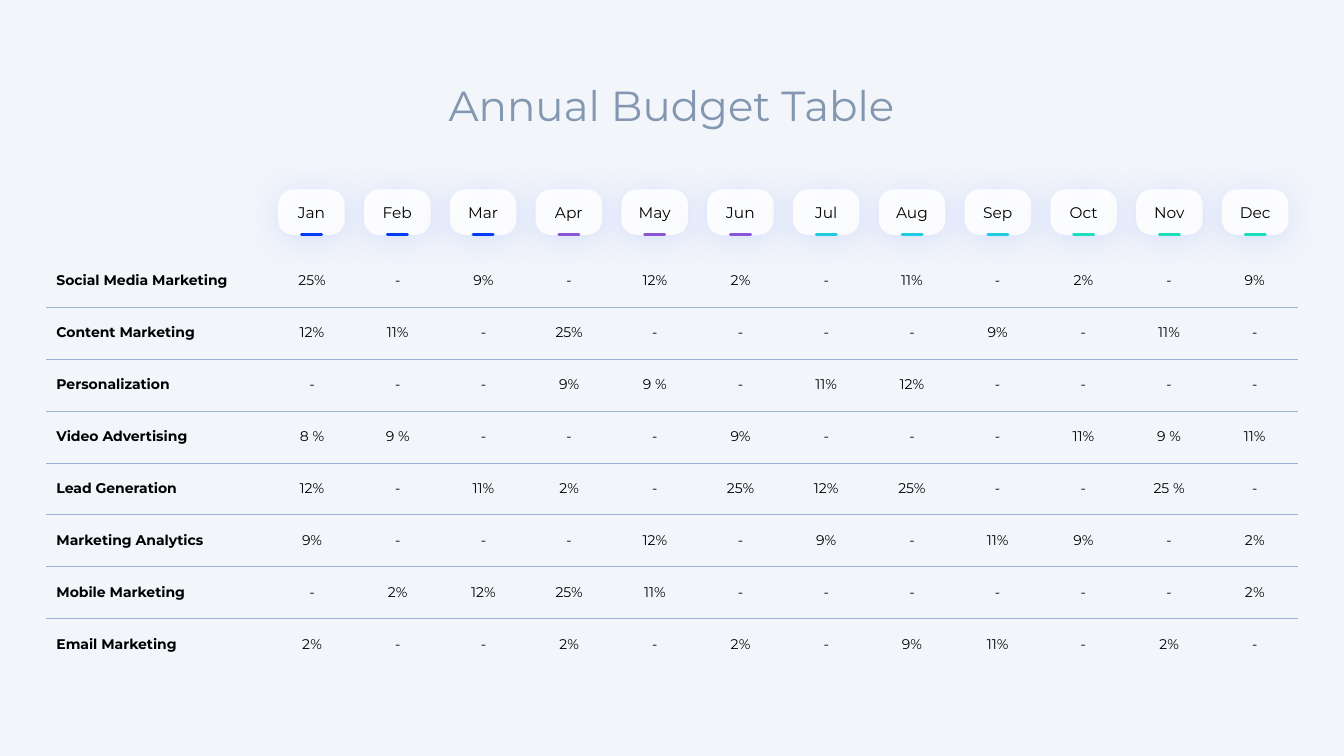
from lxml.etree import SubElement
from pptx import Presentation
from pptx.dml.color import RGBColor
from pptx.enum.shapes import MSO_CONNECTOR, MSO_SHAPE
from pptx.enum.text import MSO_ANCHOR, MSO_AUTO_SIZE, PP_ALIGN
from pptx.oxml import parse_xml
from pptx.oxml.ns import nsdecls, qn
from pptx.util import Inches, Pt

BACKDROP = RGBColor(0xF2, 0xF5, 0xFA)
SLATE = RGBColor(0x84, 0x97, 0xB0)
BLACK = RGBColor(0, 0, 0)
WHITE = RGBColor(0xFF, 0xFF, 0xFF)
RULE = RGBColor(0x99, 0xB1, 0xD8)
BLUE = RGBColor(0x01, 0x3C, 0xFB)
PURPLE = RGBColor(0x89, 0x56, 0xD6)
CYAN = RGBColor(0x1F, 0xCB, 0xE1)
GREEN = RGBColor(0x1A, 0xDF, 0xBA)
QUARTER_COLORS = [BLUE, PURPLE, CYAN, GREEN]
PLAIN_TABLE_STYLE = "{2D5ABB26-0587-4C30-8999-92F81FD0307C}"

MONTHS = "Jan Feb Mar Apr May Jun Jul Aug Sep Oct Nov Dec".split()
BUDGET = {
    "Social Media Marketing": "25%,-,9%,-,12%,2%,-,11%,-,2%,-,9%",
    "Content Marketing": "12%,11%,-,25%,-,-,-,-,9%,-,11%,-",
    "Personalization": "-,-,-,9%,9 %,-,11%,12%,-,-,-,-",
    "Video Advertising": "8 %,9 %,-,-,-,9%,-,-,-,11%,9 %,11%",
    "Lead Generation": "12%,-,11%,2%,-,25%,12%,25%,-,-,25 %,-",
    "Marketing Analytics": "9%,-,-,-,12%,-,9%,-,11%,9%,-,2%",
    "Mobile Marketing": "-,2%,12%,25%,11%,-,-,-,-,-,-,2%",
    "Email Marketing": "2%,-,-,2%,-,2%,-,9%,11%,-,2%,-",
}


class BudgetSlide:
    """Style and drawing methods for the budget slide."""

    font_name = "Montserrat"

    def __init__(self, presentation):
        self.slide = presentation.slides.add_slide(presentation.slide_layouts[5])
        self.slide.background.fill.solid()
        self.slide.background.fill.fore_color.rgb = BACKDROP

    def set_text(self, frame, text, size, color=BLACK, bold=False, align=PP_ALIGN.CENTER):
        frame.text = text
        paragraph = frame.paragraphs[0]
        paragraph.alignment = align
        font = paragraph.runs[0].font
        font.name, font.size, font.bold = self.font_name, Pt(size), bold
        font.color.rgb = color

    def title(self, text, left, top, width, height):
        heading = self.slide.shapes.title
        heading.left, heading.top = Inches(left), Inches(top)
        heading.width, heading.height = Inches(width), Inches(height)
        frame = heading.text_frame
        frame.word_wrap = False
        frame.auto_size = MSO_AUTO_SIZE.SHAPE_TO_FIT_TEXT
        frame.vertical_anchor = MSO_ANCHOR.TOP
        self.set_text(frame, text, 30, SLATE)
        frame.paragraphs[0].line_spacing = 1.0

    def month_pill(self, month, left, top, width, height):
        pill = self.slide.shapes.add_shape(
            MSO_SHAPE.ROUNDED_RECTANGLE,
            Inches(left), Inches(top), Inches(width), Inches(height))
        pill.adjustments[0] = 0.33
        pill.fill.solid()
        pill.fill.fore_color.rgb = WHITE
        fill_color = pill._element.spPr.find(qn("a:solidFill"))[0]
        SubElement(fill_color, qn("a:alpha"), val="90000")
        pill.line.fill.background()
        pill._element.spPr.append(parse_xml(
            f'<a:effectLst {nsdecls("a")}>'
            f'<a:outerShdw blurRad="{Pt(25)}" dist="{Pt(3)}" dir="5400000" '
            f'algn="ctr" rotWithShape="0"><a:srgbClr val="{BLUE}">'
            '<a:alpha val="12000"/></a:srgbClr></a:outerShdw></a:effectLst>'))
        pill.text_frame.vertical_anchor = MSO_ANCHOR.MIDDLE
        self.set_text(pill.text_frame, month, 11)

    def accent(self, left, y, length, color):
        dash = self.slide.shapes.add_connector(
            MSO_CONNECTOR.STRAIGHT,
            Inches(left), Inches(y), Inches(left + length), Inches(y))
        dash.line.color.rgb = color
        dash.line.width = Pt(2)
        dash._element.spPr.find(qn("a:ln")).set("cap", "rnd")
        SubElement(dash._element.spPr, qn("a:effectLst"))

    def cell_border(self, cell, side):
        border = SubElement(cell._tc.get_or_add_tcPr(), qn(f"a:{side}"), w=str(Pt(0.25)))
        fill = SubElement(border, qn("a:solidFill"))
        SubElement(fill, qn("a:srgbClr"), val=str(RULE))

    def budget_table(self, budget, left, top, label_width, month_width, row_height):
        row_count, column_count = len(budget), len(MONTHS) + 1
        table = self.slide.shapes.add_table(
            row_count, column_count, Inches(left), Inches(top),
            Inches(label_width + month_width * len(MONTHS)),
            Inches(row_height * row_count)).table
        table.first_row = table.horz_banding = False
        table._tbl.tblPr.find(qn("a:tableStyleId")).text = PLAIN_TABLE_STYLE
        for index, column in enumerate(table.columns):
            column.width = Inches(month_width if index else label_width)
        for row_index, (channel, shares) in enumerate(budget.items()):
            table.rows[row_index].height = Inches(row_height)
            for column_index, text in enumerate([channel, *shares.split(",")]):
                cell = table.cell(row_index, column_index)
                is_label = column_index == 0
                self.set_text(cell.text_frame, text, 10, bold=is_label,
                              align=PP_ALIGN.LEFT if is_label else PP_ALIGN.CENTER)
                cell.vertical_anchor = MSO_ANCHOR.MIDDLE
                if not is_label:
                    cell.margin_left = cell.margin_right = Inches(0.05)
                    cell.margin_top = cell.margin_bottom = Inches(0.02)
                if row_index > 0:
                    self.cell_border(cell, "lnT")
                if row_index < row_count - 1:
                    self.cell_border(cell, "lnB")
                cell.fill.background()


def main():
    presentation = Presentation()
    presentation.slide_width, presentation.slide_height = Inches(13.33), Inches(7.5)
    budget_slide = BudgetSlide(presentation)
    budget_slide.title("Annual Budget Table", 4.32, 0.74, 4.68, 0.61)
    first_left, last_left = 2.76, 12.12
    month_step = (last_left - first_left) / (len(MONTHS) - 1)
    for index, month in enumerate(MONTHS):
        left = first_left + index * month_step
        budget_slide.month_pill(month, left, 1.88, 0.66, 0.45)
        budget_slide.accent(left + 0.23, 2.33, 0.2, QUARTER_COLORS[index // 3])
    budget_slide.budget_table(BUDGET, 0.46, 2.53, 2.21, 0.85, 4.12 / len(BUDGET))
    presentation.save("out.pptx")


if __name__ == "__main__":
    main()
